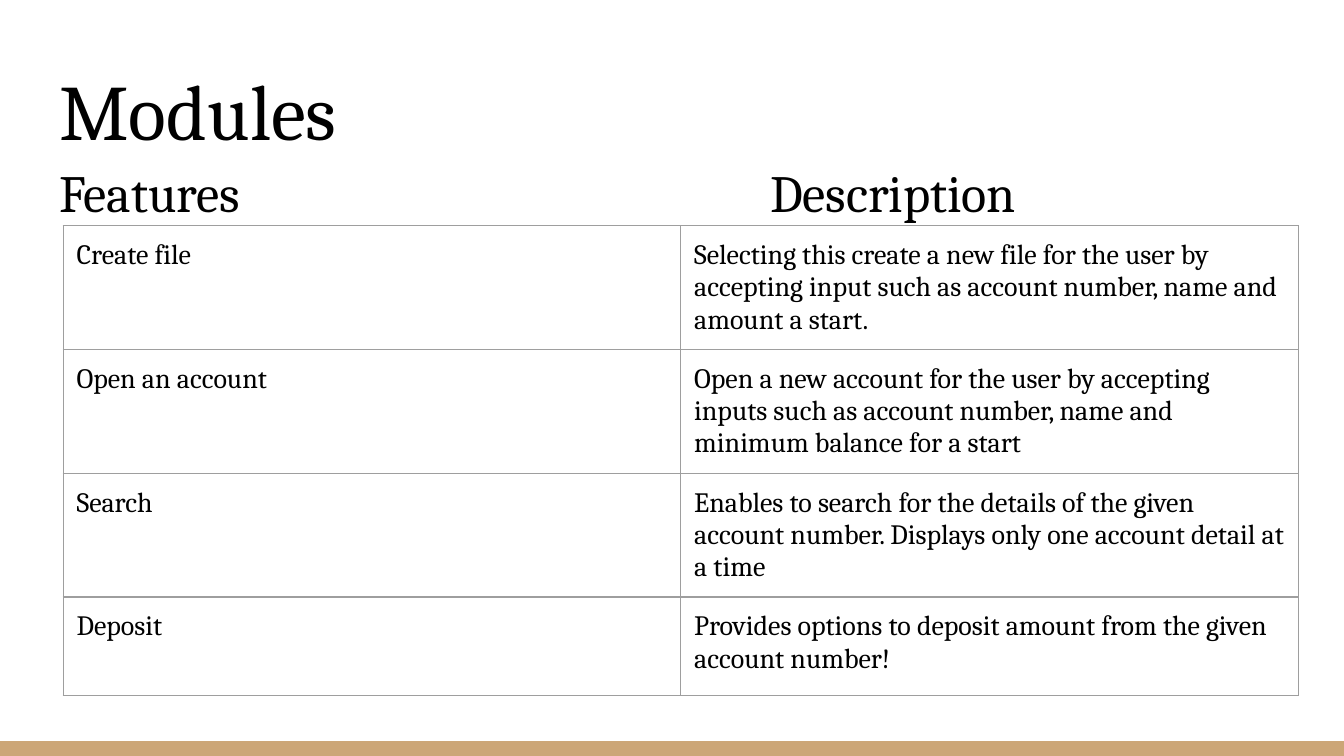
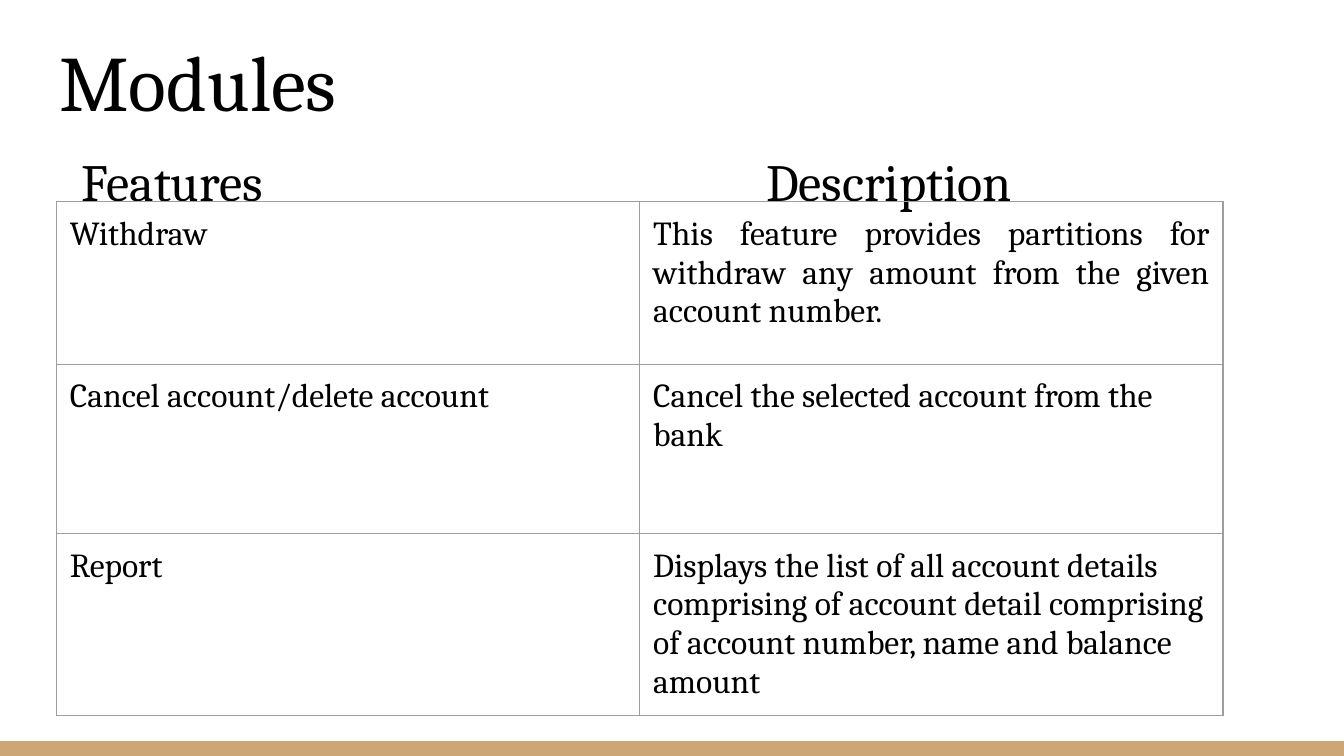
"""Build two slides that list the modules of a banking program."""
from lxml import etree
from pptx import Presentation
from pptx.dml.color import RGBColor
from pptx.enum.shapes import MSO_SHAPE
from pptx.enum.text import MSO_ANCHOR, MSO_AUTO_SIZE, PP_ALIGN
from pptx.oxml.ns import qn
from pptx.util import Inches, Pt

RECT = MSO_SHAPE.RECTANGLE
TOP, BOTTOM = MSO_ANCHOR.TOP, MSO_ANCHOR.BOTTOM
LEFT, JUSTIFY = PP_ALIGN.LEFT, PP_ALIGN.JUSTIFY
NO_FIT = MSO_AUTO_SIZE.NONE

WIDTH = 10
HEIGHT = WIDTH * 9 / 16
BAND = 0.11
BLACK, WHITE, TAN, GREY = "000000", "FFFFFF", "CCA677", "9E9E9E"
MARGINS = {f"margin_{side}": Inches(0.1) for side in ("left", "right", "top", "bottom")}
FRAME = {"word_wrap": True, "auto_size": NO_FIT, **MARGINS}
TITLE, BODY = 0, 1
TAB_STEP, TAB_COUNT = 0.5, 8

SLIDES = [
    {
        "title_top": 0.35, "body": (1.02, 3.98), "margin": 0.29, "indent": -0.29, "after": 12,
        "table": (0.47, 1.68), "width": 9.19, "rows": [0.73] * 4, "size": 15,
        "cells": [
            ("Create file", "Selecting this create a new file for the user by accepting "
             "input such as account number, name and amount a start."),
            ("Open an account", "Open a new account for the user by accepting inputs such as "
             "account number, name and minimum balance for a start"),
            ("Search", "Enables to search for the details of the given account number. "
             "Displays only one account detail at a time"),
            ("Deposit", "Provides options to deposit amount from the given account number!"),
        ],
        "justified": [],
    },
    {
        "title_top": 0.14, "body": (0.94, 4.07), "margin": 0.26, "indent": -0.09, "after": 0,
        "table": (0.42, 1.5), "width": 8.68, "rows": [1.21, 1.26, 1.21], "size": 18,
        "cells": [
            ("Withdraw", "This feature provides partitions for withdraw any amount from the "
             "given account number."),
            ("Cancel account/delete account", "Cancel the selected account from the bank"),
            ("Report", "Displays the list of all account details comprising of account detail "
             "comprising of account number, name and balance amount"),
        ],
        "justified": [(0, 1), (1, 0)],
    },
]


def rgb(color):
    return RGBColor.from_string(color)


def write(tf, text, size, **paragraph):
    p = tf.paragraphs[0]
    r = p.add_run()
    r.text = text
    r.font.color.rgb = rgb(BLACK)
    for obj, values in ((p, paragraph), (r.font, {"name": "Cambria", "size": Pt(size)})):
        for name, value in values.items():
            setattr(obj, name, value)
    return p


prs = Presentation()
prs.slide_width, prs.slide_height = Inches(WIDTH), Inches(HEIGHT)

for data in SLIDES:
    s = prs.slides.add_slide(prs.slide_layouts[1])
    s.background.fill.solid()
    s.background.fill.fore_color.rgb = rgb(WHITE)

    band = s.shapes.add_shape(RECT, 0, Inches(HEIGHT - BAND), Inches(WIDTH), Inches(BAND))
    band.shadow.inherit = False
    band.fill.solid()
    band.fill.fore_color.rgb = rgb(TAN)
    band.line.fill.background()

    body_top, body_height = data["body"]
    for idx, top, height, anchor in (
        (TITLE, data["title_top"], 0.91, BOTTOM),
        (BODY, body_top, body_height, TOP),
    ):
        sp = s.placeholders[idx]
        box = {"left": 0.34, "top": top, "width": WIDTH - 2 * 0.34, "height": height}
        for name, value in box.items():
            setattr(sp, name, Inches(value))
        for name, value in {**FRAME, "vertical_anchor": anchor}.items():
            setattr(sp.text_frame, name, value)

    write(s.shapes.title.text_frame, "Modules", 42, alignment=LEFT)
    heading = "Features" + "\t" * TAB_COUNT + "Description"
    p = write(s.placeholders[BODY].text_frame, heading, 28, alignment=LEFT,
              line_spacing=1.15, space_before=Pt(0), space_after=Pt(data["after"]))
    pPr = p._p.get_or_add_pPr()
    for name, value in (("marL", data["margin"]), ("indent", data["indent"]),
                        ("defTabSz", TAB_STEP)):
        pPr.set(name, str(Inches(value)))
    etree.SubElement(pPr, qn("a:buNone"))

    left, top = data["table"]
    rows = data["rows"]
    table = s.shapes.add_table(len(rows), 2, Inches(left), Inches(top),
                               Inches(data["width"]), Inches(sum(rows))).table
    table.first_row = table.horz_banding = False
    for column in table.columns:
        column.width = Inches(data["width"] / 2)
    for i, (height, texts) in enumerate(zip(rows, data["cells"])):
        table.rows[i].height = Inches(height)
        for j, text in enumerate(texts):
            cell = table.cell(i, j)
            for name, value in {**MARGINS, "vertical_anchor": TOP}.items():
                setattr(cell, name, value)
            align = JUSTIFY if (i, j) in data["justified"] else LEFT
            write(cell.text_frame, text, data["size"], alignment=align)
            tcPr = cell._tc.get_or_add_tcPr()
            for side in ("lnL", "lnR", "lnT", "lnB"):
                ln = etree.SubElement(tcPr, qn(f"a:{side}"), w=str(Pt(0.75)))
                fill = etree.SubElement(ln, qn("a:solidFill"))
                etree.SubElement(fill, qn("a:srgbClr"), val=GREY)
            cell.fill.background()

prs.save("out.pptx")
